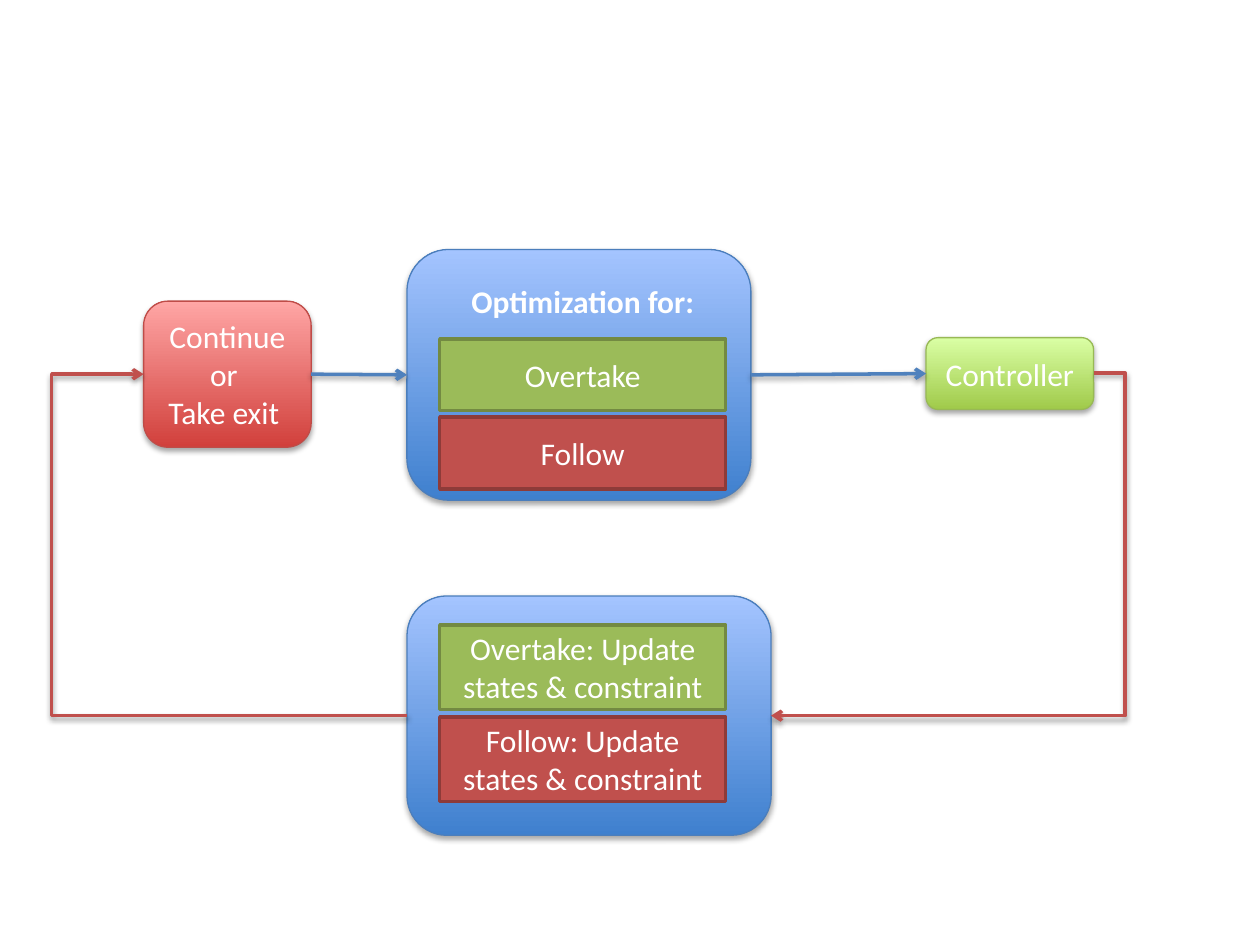
from lxml import etree
from pptx import Presentation
from pptx.dml.color import RGBColor
from pptx.enum import shapes, text
from pptx.oxml import parse_xml
from pptx.oxml.ns import nsdecls, qn
from pptx.util import Inches, Pt

WHITE = "FFFFFF"
RED, GREEN, BLUE = "C0504D", "9BBB59", "4F81BD"
# Bottom colour, top colour, outline
CARDS = {
    "red": ("D1403C", "FFA6A5", "BF4C48"),
    "green": ("A0CA4A", "DAFFA5", "98B955"),
    "blue": ("3F80CE", "A4C4FF", "4B7EBC"),
}
BARS = ((GREEN, "738A42"), (RED, "8E3B39"))


def paint(color, value):
    color.rgb = RGBColor.from_string(value)


def outline(shape, color, width):
    paint(shape.line.color, color)
    shape.line.width = Pt(width)


def shade(effects, dist, alpha):
    """Add a soft shadow below to an effect list."""
    effects.append(parse_xml(
        f'<a:outerShdw {nsdecls("a")} blurRad="40000" dist="{dist}" '
        f'dir="5400000" rotWithShape="0"><a:srgbClr val="000000">'
        f'<a:alpha val="{alpha}"/></a:srgbClr></a:outerShdw>'))


def write(shape, lines, bold=False):
    frame = shape.text_frame
    frame.word_wrap = True
    frame.text = "\n".join(lines)
    for para in frame.paragraphs:
        para.alignment = text.PP_ALIGN.CENTER
        para.font.name = "Calibri"
        para.font.size = Pt(18)
        para.font.bold = bold
        paint(para.font.color, WHITE)


def add_box(slide, kind, box):
    shape = slide.shapes.add_shape(kind, *map(Inches, box))
    shape.shadow.inherit = False
    shape.text_frame.vertical_anchor = text.MSO_ANCHOR.MIDDLE
    return shape


def add_card(slide, box, style, lines=()):
    """Draw a rounded card with a gradient and a shadow."""
    card = add_box(slide, shapes.MSO_SHAPE.ROUNDED_RECTANGLE, box)
    *tones, edge = CARDS[style]
    card.fill.gradient()
    card.fill.gradient_angle = 90
    for stop, tone in zip(card.fill.gradient_stops, tones):
        paint(stop.color, tone)
    outline(card, edge, 0.75)
    shade(card._element.spPr.find(qn("a:effectLst")), 23000, 35000)
    if lines:
        write(card, lines)
    return card


def add_panel(slide, box, labels, top, height, pitch, title=None):
    """Draw a blue card holding stacked bars, the first one top inches down."""
    panel = add_card(slide, box, "blue")
    left, width = box[0] + 0.26, 2.27
    for i, (label, (fill, edge)) in enumerate(zip(labels, BARS)):
        spot = left, box[1] + top + i * pitch, width, height
        bar = add_box(slide, shapes.MSO_SHAPE.RECTANGLE, spot)
        bar.fill.solid()
        paint(bar.fill.fore_color, fill)
        outline(bar, edge, 2)
        write(bar, [label])
    if title:
        spot = left, box[1] + 0.21, width, 0.4
        write(slide.shapes.add_textbox(*map(Inches, spot)), [title], True)
    return panel


def add_arrow(slide, kind, start, end, color):
    arrow = slide.shapes.add_connector(kind, *map(Inches, start + end))
    outline(arrow, color, 2)
    etree.SubElement(arrow.line._get_or_add_ln(), qn("a:tailEnd"), type="arrow")
    shade(etree.SubElement(arrow._element.spPr, qn("a:effectLst")), 20000, 38000)
    return arrow


def link(slide, source, target):
    arrow = add_arrow(slide, shapes.MSO_CONNECTOR.STRAIGHT, (0, 0), (1, 1), BLUE)
    arrow.begin_connect(source, 3)
    arrow.end_connect(target, 1)


def add_loop(slide, start, end, turn):
    """Draw an elbow arrow whose upright part stands at x = turn."""
    arrow = add_arrow(slide, shapes.MSO_CONNECTOR.ELBOW, start, end, RED)
    share = (turn - start[0]) / (end[0] - start[0])
    guides = arrow._element.spPr.find(qn("a:prstGeom")).get_or_add_avLst()
    etree.SubElement(guides, qn("a:gd"), name="adj1",
                     fmla=f"val {round(share * 100000)}")


def add_flow(slide):
    control = add_card(slide, (7.35, 2.68, 1.33, 0.57), "green", ["Controller"])
    choice = add_card(slide, (1.14, 2.39, 1.33, 1.16), "red",
                      ["Continue or ", "Take exit "])
    solver = add_panel(slide, (3.23, 1.98, 2.73, 1.99), ["Overtake", "Follow"],
                       0.71, 0.57, 0.62, "Optimization for:")
    add_panel(slide, (3.23, 4.73, 2.89, 1.9),
              [f"{mode}: Update states & constraint"
               for mode in ("Overtake", "Follow")],
              0.23, 0.67, 0.73)
    link(slide, choice, solver)
    link(slide, solver, control)
    add_loop(slide, (8.68, 2.96), (6.12, 5.68), 8.93)
    add_loop(slide, (3.23, 5.68), (1.14, 2.97), 0.41)


def main():
    deck = Presentation()
    deck.slide_width, deck.slide_height = Inches(10), Inches(7.5)
    add_flow(deck.slides.add_slide(deck.slide_layouts[6]))
    deck.save("out.pptx")


if __name__ == "__main__":
    main()
